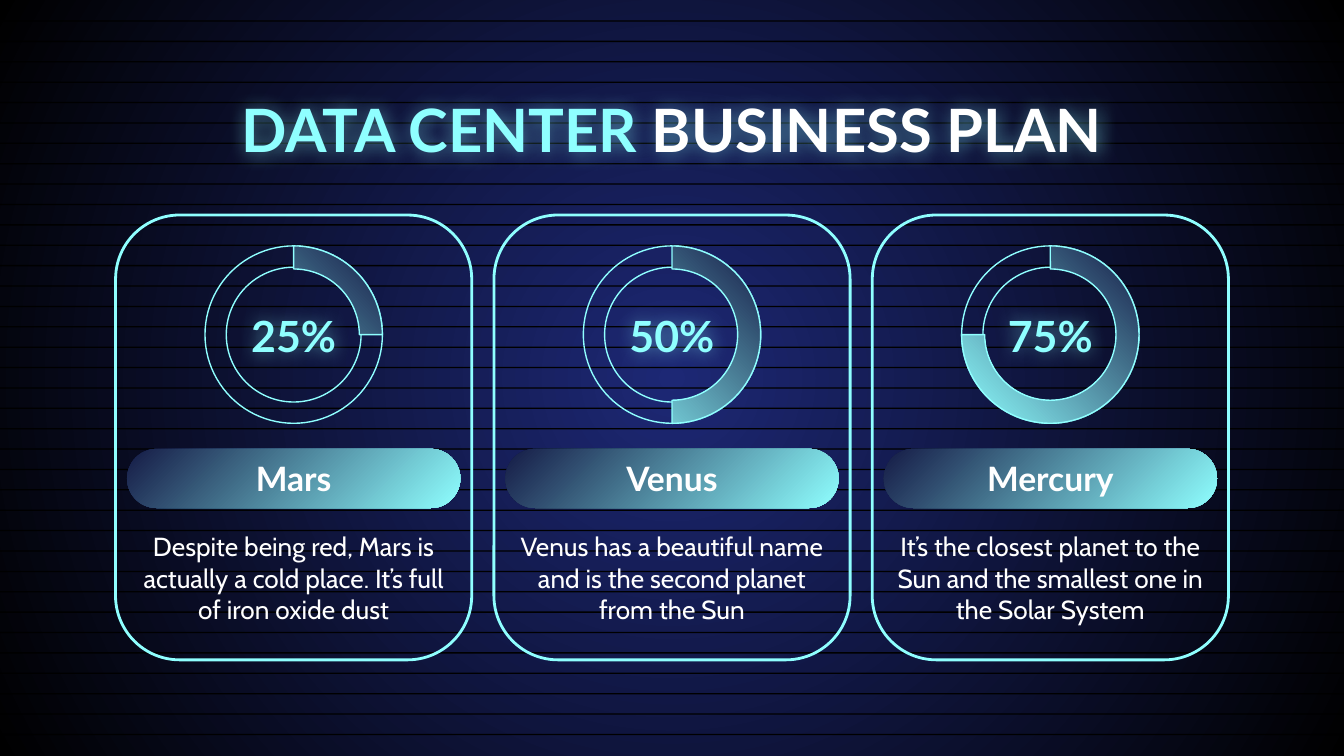
"""Build the data center business plan slide with three planet cards."""
from dataclasses import dataclass

from lxml import etree
from pptx import Presentation
from pptx.dml import color
from pptx.enum import shapes, text
from pptx.oxml import ns
from pptx.util import Inches, Pt


@dataclass(frozen=True)
class Theme:
    """Colours, fonts and type sizes of the slide."""

    cyan: str = "8FFFFF"
    white: str = "FFFFFF"
    black: str = "000000"
    navy: str = "151B46"
    blue: str = "1D2875"
    heading: str = "Lato"
    body: str = "Cabin"
    title_size: int = 32
    percent_size: int = 23
    name_size: int = 18
    body_size: int = 14


@dataclass(frozen=True)
class Box:
    """A rectangle counted in columns and rows of the slide grid."""

    left: float
    top: float
    width: float
    height: float

    def centred(self, top, width, height):
        """Return a horizontally centred box placed at a row of this one."""
        return Box(self.left + (self.width - width) / 2, self.top + top, width, height)

    def lengths(self):
        """Return left, top, width and height as slide lengths."""
        return [Inches(cells / GRID) for cells in (self.left, self.top, self.width, self.height)]


THEME = Theme()
GRID = 100
COLUMNS, ROWS = 1000, 562.5
STRIPES = 36
CARDS = [
    ("Mars", 0.25, "Despite being red, Mars is actually a cold place. It’s full of iron oxide dust"),
    ("Venus", 0.5, "Venus has a beautiful name and is the second planet from the Sun"),
    ("Mercury", 0.75, "It’s the closest planet to the Sun and the smallest one in the Solar System"),
]


def rgb(value):
    """Return a colour object for a hex value."""
    return color.RGBColor.from_string(value)


def set_gradient(fill, start, end):
    """Give a fill a two-colour gradient."""
    fill.gradient()
    for stop, value in zip(fill.gradient_stops, (start, end)):
        stop.color.rgb = rgb(value)


def add_shape(slide, kind, box, adjustments=(), fill=None, line_width=None):
    """Add a preset shape with a solid, gradient or empty fill."""
    shape = slide.shapes.add_shape(kind, *box.lengths())
    shape.shadow.inherit = False
    for index, value in enumerate(adjustments):
        shape.adjustments[index] = value
    if fill is None:
        shape.fill.background()
    elif isinstance(fill, tuple):
        set_gradient(shape.fill, *fill)
        shape.fill.gradient_angle = 315
    else:
        shape.fill.solid()
        shape.fill.fore_color.rgb = rgb(fill)
    if line_width is None:
        shape.line.fill.background()
    else:
        shape.line.color.rgb = rgb(THEME.cyan)
        shape.line.width = Pt(line_width)
    return shape


def write_text(shape, runs, size, font, bold=False, anchor=text.MSO_ANCHOR.TOP):
    """Write one centred paragraph of coloured runs into a shape."""
    frame = shape.text_frame
    inset = Inches(0.1)
    frame_format = {
        "word_wrap": True, "vertical_anchor": anchor, "margin_left": inset,
        "margin_right": inset, "margin_top": inset, "margin_bottom": inset,
    }
    for name, value in frame_format.items():
        setattr(frame, name, value)
    paragraph = frame.paragraphs[0]
    paragraph.alignment = text.PP_ALIGN.CENTER
    for words, value in runs:
        run = paragraph.add_run()
        run.text = words
        for name, setting in {"size": Pt(size), "name": font, "bold": bold}.items():
            setattr(run.font, name, setting)
        run.font.color.rgb = rgb(value)


def add_glow(shape):
    """Put a soft cyan halo behind the text of a shape."""
    effects = etree.SubElement(shape.element.spPr, ns.qn("a:effectLst"))
    halo = etree.SubElement(effects, ns.qn("a:outerShdw"), blurRad=str(Pt(10)), dist="0")
    tint = etree.SubElement(halo, ns.qn("a:srgbClr"), val=THEME.cyan)
    etree.SubElement(tint, ns.qn("a:alpha"), val="50000")


def add_background(slide, box):
    """Paint the radial gradient and the evenly spaced dark stripes."""
    set_gradient(slide.background.fill, THEME.blue, THEME.black)
    linear = slide.element.find(".//" + ns.qn("a:lin"))
    radial = etree.Element(ns.qn("a:path"), attrib={"path": "circle"})
    middle = dict.fromkeys("ltrb", "50000")
    etree.SubElement(radial, ns.qn("a:fillToRect"), attrib=middle)
    linear.getparent().replace(linear, radial)
    pitch = (box.height - 16.5) / STRIPES
    for number in range(1, STRIPES + 1):
        stripe = Box(box.left, box.top + number * pitch, box.width, 1)
        add_shape(slide, shapes.MSO_SHAPE.RECTANGLE, stripe, fill=THEME.black)


def add_title(slide, box):
    """Add the two-coloured glowing title."""
    title = slide.shapes.add_textbox(*box.lengths())
    runs = [("DATA CENTER ", THEME.cyan), ("BUSINESS PLAN", THEME.white)]
    write_text(title, runs, THEME.title_size, THEME.heading, bold=True)
    add_glow(title)


def add_ring(slide, box, share):
    """Add a progress ring filled clockwise from the top, with its percentage."""
    gradient = (THEME.navy, THEME.cyan)
    add_shape(slide, shapes.MSO_SHAPE.DONUT, box, [0.12], line_width=0.75)
    angles = [(270 - 360 * share) * 0.6, 270 * 0.6]
    arc = add_shape(slide, shapes.MSO_SHAPE.BLOCK_ARC, box, [*angles, 0.13], gradient, 0.75)
    arc.element.spPr.find(ns.qn("a:xfrm")).set("flipH", "1")
    label = slide.shapes.add_textbox(*box.centred(35, box.width, 63).lengths())
    write_text(label, [(f"{share:.0%}", THEME.cyan)], THEME.percent_size, THEME.heading,
               bold=True, anchor=text.MSO_ANCHOR.MIDDLE)
    add_glow(label)


def add_card(slide, box, name, share, description):
    """Add an outlined card with a ring, a name pill and a description."""
    rounded = shapes.MSO_SHAPE.ROUNDED_RECTANGLE
    add_shape(slide, rounded, box, [0.18], line_width=1.5)
    add_ring(slide, box.centred(23, 132, 132), share)
    pill = add_shape(slide, rounded, box.centred(174, 248, 44), [0.5], (THEME.navy, THEME.cyan))
    write_text(pill, [(name, THEME.white)], THEME.name_size, THEME.heading,
               bold=True, anchor=text.MSO_ANCHOR.MIDDLE)
    body = slide.shapes.add_textbox(*box.centred(225, 248, 82).lengths())
    write_text(body, [(description, THEME.white)], THEME.body_size, THEME.body)


def main():
    """Compose the slide and save it."""
    presentation = Presentation()
    page = Box(0, 0, COLUMNS, ROWS)
    presentation.slide_width, presentation.slide_height = page.lengths()[2:]
    slide = presentation.slides.add_slide(presentation.slide_layouts[6])
    add_background(slide, page)
    add_title(slide, page.centred(59, 844, 62))
    row = page.centred(160, 828, 331)
    width = 265
    pitch = (row.width - width) / (len(CARDS) - 1)
    for index, card in enumerate(CARDS):
        add_card(slide, Box(row.left + index * pitch, row.top, width, row.height), *card)
    presentation.save("out.pptx")


if __name__ == "__main__":
    main()
